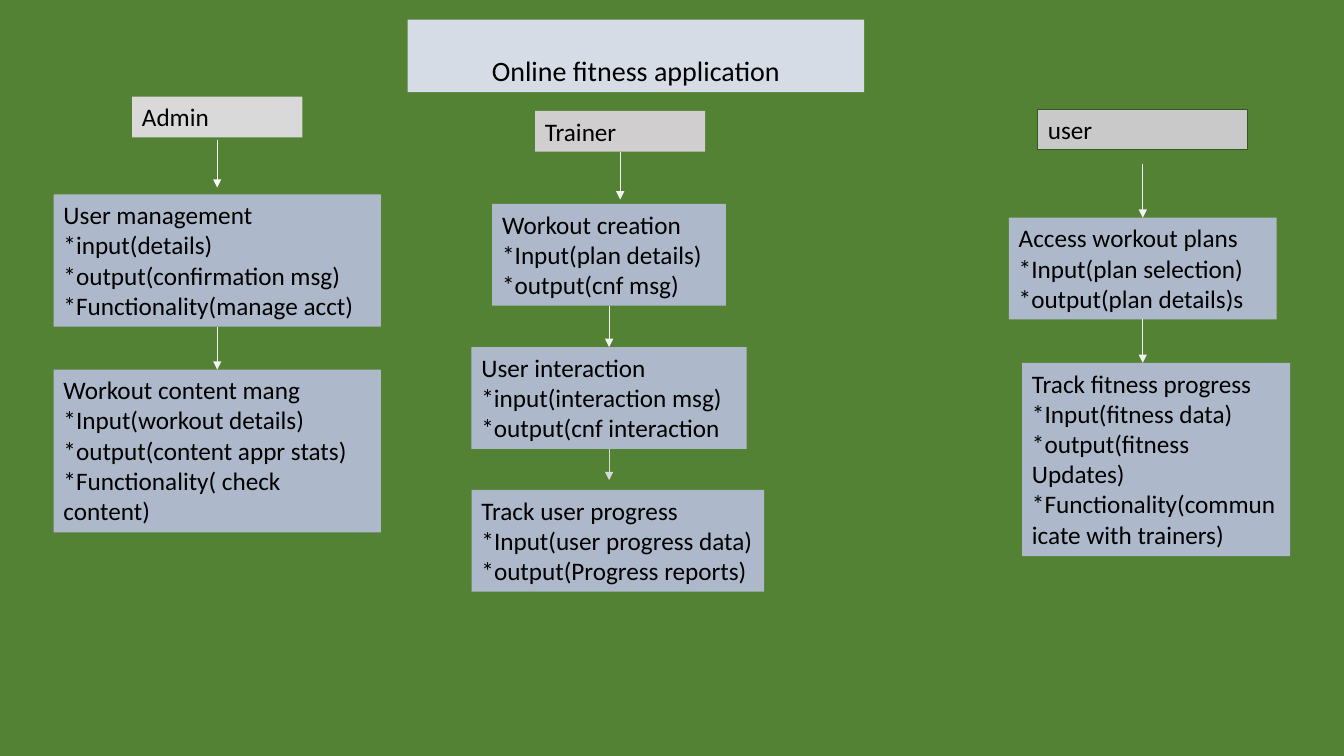
from dataclasses import dataclass
from typing import Optional

from lxml import etree
from pptx import Presentation
from pptx.dml.color import RGBColor
from pptx.enum.shapes import MSO_CONNECTOR
from pptx.enum.text import MSO_ANCHOR, MSO_AUTO_SIZE, PP_ALIGN
from pptx.oxml.ns import qn
from pptx.util import Pt

STRAIGHT = MSO_CONNECTOR.STRAIGHT
ANCHOR_TOP, ANCHOR_BOTTOM = MSO_ANCHOR.TOP, MSO_ANCHOR.BOTTOM
LEFT, CENTER = PP_ALIGN.LEFT, PP_ALIGN.CENTER
GROW, FIXED = MSO_AUTO_SIZE.SHAPE_TO_FIT_TEXT, MSO_AUTO_SIZE.NONE
TOP_SIDE, BOTTOM_SIDE = 0, 2
BLANK_LAYOUT = 6
FONT = "Calibri"

COLORS = {
    "background": "548235",
    "title": "D6DCE5",
    "admin": "D9D9D9",
    "trainer": "D0CECE",
    "user": "C9C9C9",
    "user_border": "385723",
    "feature": "ADB9CA",
    "text": "000000",
    "white": "FFFFFF",
    "pale": "F2F2F2",
    "grey": "D9D9D9",
}


@dataclass
class Box:
    key: str
    left: float
    top: float
    width: float
    height: float
    lines: list[str]
    fill: str = "feature"
    border: Optional[str] = None


@dataclass
class Arrow:
    """Runs down from the middle of the source box; a missing end is joined to its box."""
    source: str
    target: str
    start: Optional[float] = None
    end: Optional[float] = None
    color: str = "pale"


TITLE = Box("title", 291.2, 14, 326, 51.8, ["Online fitness application"], "title")

BOXES = [
    # Roles
    Box("admin", 94.3, 69, 121.7, 29.1, ["Admin"], "admin"),
    Box("trainer", 382.2, 79.2, 121.6, 29.1, ["Trainer"], "trainer"),
    Box("user", 741.4, 78, 149.8, 29.1, ["user"], "user", "user_border"),
    # Admin features
    Box("management", 38.3, 138.9, 233.8, 94.5, [
        "User management *input(details)", "*output(confirmation msg)",
        "*Functionality(manage acct)"]),
    Box("content", 38.3, 264, 233.8, 116.3, [
        "Workout content mang", "*Input(workout details)",
        "*output(content appr stats)", "*Functionality( check content)"]),
    # Trainer features
    Box("creation", 351.6, 145.7, 167, 72.7, [
        "Workout creation", "*Input(plan details)", "*output(cnf msg)"]),
    Box("interaction", 336.8, 247.9, 196.6, 72.7, [
        "User interaction", "*input(interaction msg)", "*output(cnf interaction"]),
    Box("progress", 336.8, 349.9, 209, 72.7, [
        "Track user progress", "*Input(user progress data)", "*output(Progress reports)"]),
    # User features
    Box("access", 720.6, 155.5, 191.4, 72.7, [
        "Access workout plans", "*Input(plan selection)", "*output(plan details)s"]),
    Box("fitness", 730.1, 259.2, 191.5, 138.1, [
        "Track fitness progress", "*Input(fitness data)", "*output(fitness Updates)",
        "*Functionality(communicate with trainers)"]),
]

ARROWS = [
    Arrow("admin", "management", start=100, end=134, color="white"),
    Arrow("management", "content"),
    Arrow("trainer", "creation", end=142.5),
    Arrow("creation", "interaction"),
    Arrow("interaction", "progress", end=343, color="grey"),
    Arrow("user", "access", start=116.9),
    Arrow("access", "fitness", end=259.2),
]


def rgb(color: str) -> RGBColor:
    return RGBColor.from_string(COLORS[color])


def add_box(slide, box: Box, size: float = 18, is_title: bool = False):
    shape = slide.shapes.add_textbox(Pt(box.left), Pt(box.top), Pt(box.width), Pt(box.height))
    shape.fill.solid()
    shape.fill.fore_color.rgb = rgb(box.fill)
    if box.border:
        shape.line.color.rgb = rgb(box.border)
        shape.line.width = Pt(0.75)
    frame = shape.text_frame
    frame.word_wrap = True
    frame.auto_size = FIXED if is_title else GROW
    frame.vertical_anchor = ANCHOR_BOTTOM if is_title else ANCHOR_TOP
    for index, line in enumerate(box.lines):
        paragraph = frame.add_paragraph() if index else frame.paragraphs[0]
        paragraph.alignment = CENTER if is_title else LEFT
        if is_title:
            paragraph.line_spacing = 0.9
        run = paragraph.add_run()
        run.text = line
        run.font.name = FONT
        run.font.size = Pt(size)
        run.font.color.rgb = rgb("text")
    return shape


def add_arrow(slide, arrow: Arrow, boxes: dict[str, Box], shapes: dict) -> None:
    source, target = boxes[arrow.source], boxes[arrow.target]
    middle = Pt(source.left + source.width / 2)
    start = source.top + source.height if arrow.start is None else arrow.start
    end = target.top if arrow.end is None else arrow.end
    connector = slide.shapes.add_connector(STRAIGHT, middle, Pt(start), middle, Pt(end))
    if arrow.start is None:
        connector.begin_connect(shapes[arrow.source], BOTTOM_SIDE)
    if arrow.end is None:
        connector.end_connect(shapes[arrow.target], TOP_SIDE)
    connector.line.color.rgb = rgb(arrow.color)
    connector.line.width = Pt(0.5)
    # Arrowhead, and no shadow
    properties = connector.element.spPr
    etree.SubElement(properties.find(qn("a:ln")), qn("a:tailEnd"), type="triangle")
    etree.SubElement(properties, qn("a:effectLst"))


def main() -> None:
    presentation = Presentation()
    presentation.slide_width, presentation.slide_height = Pt(960), Pt(540)
    slide = presentation.slides.add_slide(presentation.slide_layouts[BLANK_LAYOUT])
    slide.background.fill.solid()
    slide.background.fill.fore_color.rgb = rgb("background")

    # Title and boxes
    add_box(slide, TITLE, size=20, is_title=True)
    shapes = {box.key: add_box(slide, box) for box in BOXES}

    # Arrows
    boxes = {box.key: box for box in BOXES}
    for arrow in ARROWS:
        add_arrow(slide, arrow, boxes, shapes)

    presentation.save("out.pptx")


if __name__ == "__main__":
    main()
